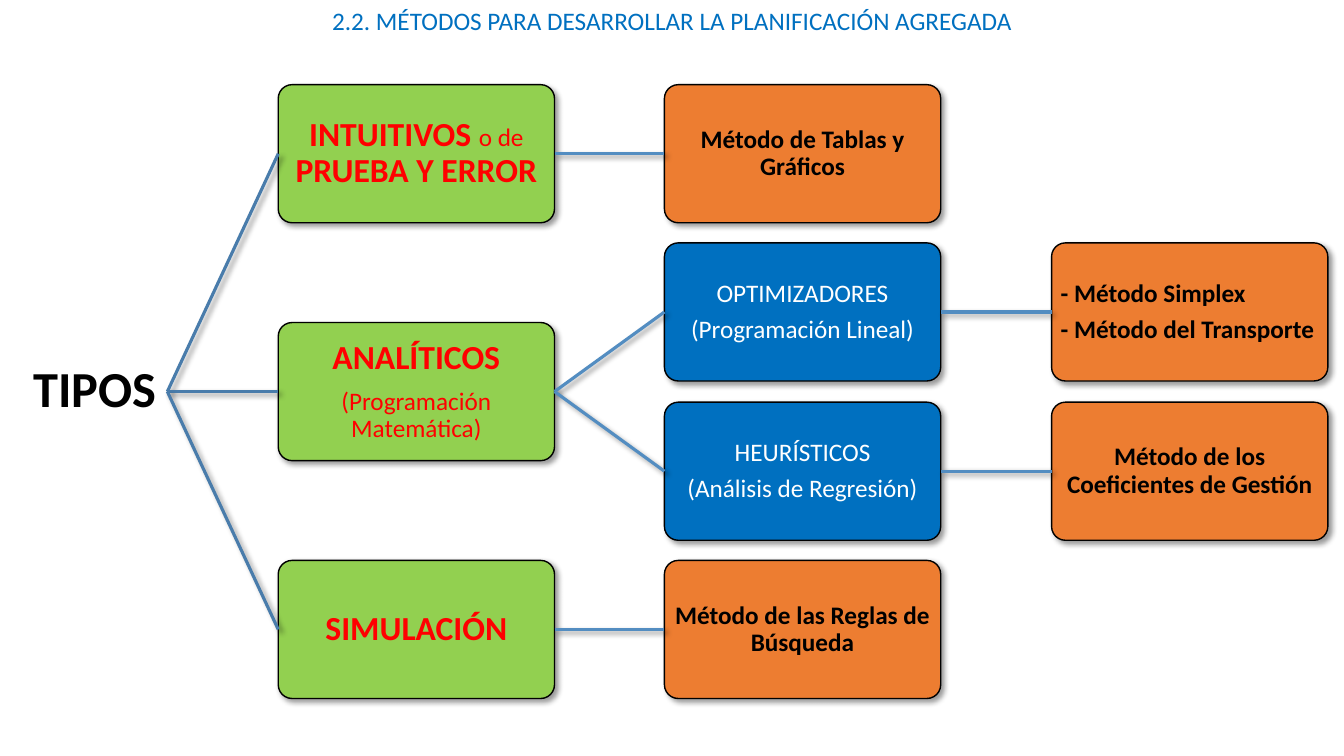
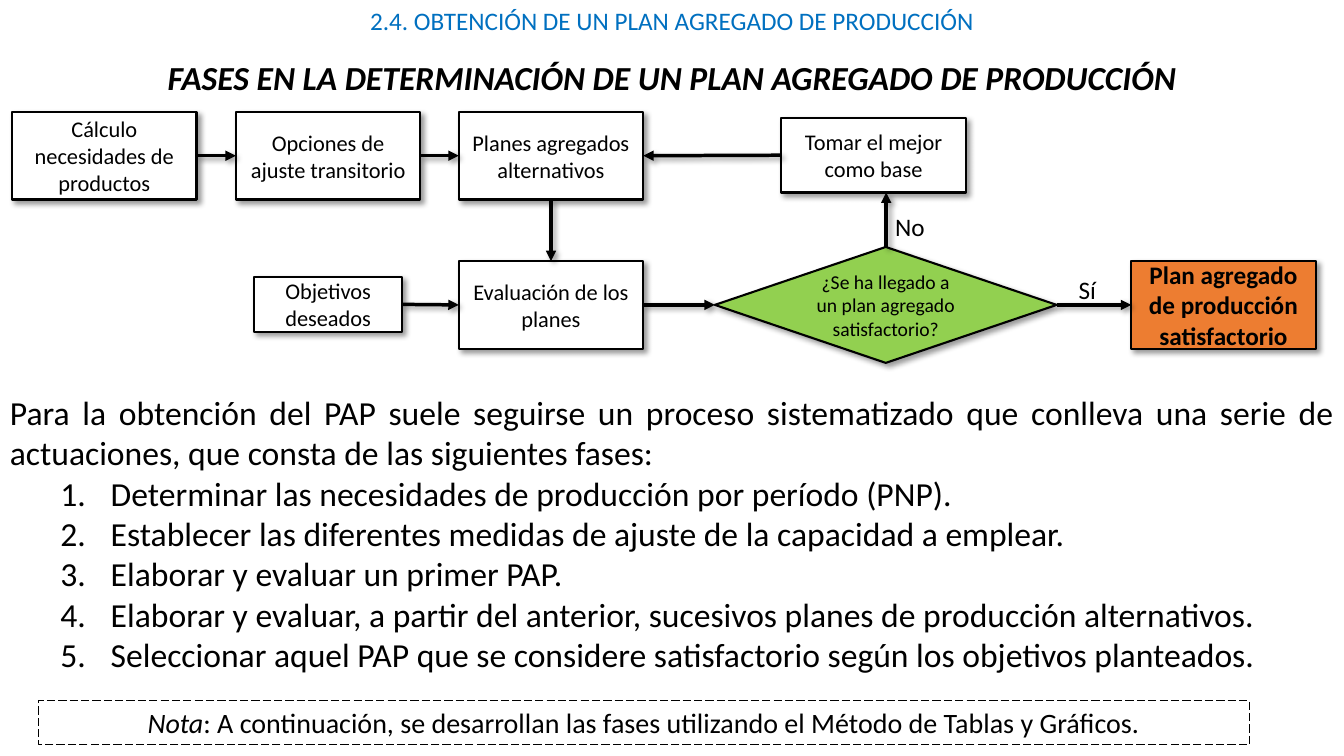
from dataclasses import dataclass

from lxml.etree import SubElement
from pptx import Presentation
from pptx.dml.color import RGBColor
from pptx.enum.dml import MSO_LINE
from pptx.enum.shapes import MSO_CONNECTOR, MSO_SHAPE as Preset
from pptx.enum.text import MSO_ANCHOR, MSO_AUTO_SIZE, PP_ALIGN as Align
from pptx.oxml.ns import qn
from pptx.util import Emu, Pt

PX = 9144  # 100 px to the inch
TOP, LEFT, BOTTOM, RIGHT = range(4)  # connection sites


@dataclass(frozen=True)
class Theme:
    font: str = "Calibri"
    black: str = "000000"
    white: str = "FFFFFF"
    red: str = "FF0000"
    green: str = "92D050"
    orange: str = "ED7D31"
    blue: str = "0070C0"
    root_line: str = "497CAB"
    branch_line: str = "538DC1"
    root: int = 36
    head: int = 24
    note: int = 20
    body: int = 18
    step: int = 16
    question: int = 14


THEME = Theme()


@dataclass(frozen=True)
class Style:
    size: int = THEME.body
    color: str = THEME.black
    bold: bool = False
    italic: bool = False


BODY = Style()
BODY_BOLD = Style(bold=True)
TITLE = Style(color=THEME.blue)
SUBTITLE = Style(THEME.head, bold=True, italic=True)
ROOT = Style(THEME.root, bold=True)
TYPE = Style(THEME.head, THEME.red, bold=True)
TYPE_DETAIL = Style(color=THEME.red)
FAMILY = Style(color=THEME.white)
STEP = Style(THEME.step)
QUESTION = Style(THEME.question)
TEXT = Style(THEME.head)
NOTE = Style(THEME.note)
NOTE_LEAD = Style(THEME.note, italic=True)


def px(*lengths):
    return [Emu(length * PX) for length in lengths]


def rgb(color):
    return RGBColor.from_string(color)


# Text: a list of paragraphs, each a list of (wording, style)
def write(shape, paragraphs, align=Align.CENTER, anchor=MSO_ANCHOR.MIDDLE):
    frame = shape.text_frame
    frame.word_wrap = True
    frame.vertical_anchor = anchor
    for index, spans in enumerate(paragraphs):
        para = frame.paragraphs[0] if index == 0 else frame.add_paragraph()
        para.alignment = align
        for wording, style in spans:
            span = para.add_run()
            span.text = wording
            font = span.font
            font.name, font.size = THEME.font, Pt(style.size)
            font.bold, font.italic = style.bold, style.italic
            font.color.rgb = rgb(style.color)
    return frame


def add_text(page, at, paragraphs, align=Align.LEFT, anchor=MSO_ANCHOR.TOP):
    box = page.shapes.add_textbox(*px(*at))
    write(box, paragraphs, align, anchor)
    return box


def tighten(frame):
    frame.margin_left, frame.margin_top, frame.margin_right, frame.margin_bottom = px(5, 5, 5, 5)
    for para in frame.paragraphs:
        para.line_spacing = 0.9
        para.space_after = Pt(0.35 * para.runs[0].font.size.pt)


def number(para):
    properties = para._p.get_or_add_pPr()
    indent, hanging = px(100, -50)
    properties.set("marL", str(indent))
    properties.set("indent", str(hanging))
    para.level = 1
    SubElement(properties, qn("a:buFont"), typeface="+mj-lt")
    SubElement(properties, qn("a:buAutoNum"), type="arabicPeriod")


# Shapes and lines
def cast_shadow(effects):
    shadow = SubElement(effects, qn("a:outerShdw"), blurRad="50800", dist="38100",
                        dir="2700000", algn="tl", rotWithShape="0")
    color = SubElement(shadow, qn("a:srgbClr"), val=THEME.black)
    SubElement(color, qn("a:alpha"), val="40000")


def add_box(page, preset, at, paragraphs, fill=None, line=1.5, align=Align.CENTER):
    box = page.shapes.add_shape(preset, *px(*at))
    box.shadow.inherit = False
    box.line.color.rgb = rgb(THEME.black)
    box.line.width = Pt(line)
    if fill:
        box.fill.solid()
        box.fill.fore_color.rgb = rgb(fill)
        cast_shadow(box._element.spPr.find(qn("a:effectLst")))
    else:
        box.fill.background()
    write(box, paragraphs, align)
    return box


def add_line(page, ends, color, width, arrow=False):
    line = page.shapes.add_connector(MSO_CONNECTOR.STRAIGHT, *px(*ends))
    line.line.color.rgb = rgb(color)
    line.line.width = Pt(width)
    if arrow:
        SubElement(line.line._get_or_add_ln(), qn("a:tailEnd"), type="triangle")
    cast_shadow(SubElement(line._element.spPr, qn("a:effectLst")))
    return line


def link(page, start, end, color, width, arrow=False, sites=(RIGHT, LEFT)):
    line = add_line(page, (0, 0, 0, 0), color, width, arrow)
    line.begin_connect(start, sites[0])
    line.end_connect(end, sites[1])


def add_page(deck, title):
    page = deck.slides.add_slide(deck.slide_layouts[6])
    add_text(page, (0, 0, 1333, 40), [[(title, TITLE)]], Align.CENTER)
    return page


# Slide 1: tree of method types
def build_methods(deck):
    page = add_page(deck, "2.2. MÉTODOS PARA DESARROLLAR LA PLANIFICACIÓN AGREGADA")

    def node(column, row, fill, paragraphs, align=Align.CENTER):
        at = (int(276 + 383.5 * column), int(84 + 157.5 * row), 274, 137)
        box = add_box(page, Preset.ROUNDED_RECTANGLE, at, paragraphs, fill, 1, align)
        box.adjustments[0] = 0.1
        tighten(box.text_frame)
        return box

    def method(column, row, *lines, align=Align.CENTER):
        return node(column, row, THEME.orange, [[(line, BODY_BOLD)] for line in lines], align)

    def family(row, *lines):
        return node(1, row, THEME.blue, [[(line, FAMILY)] for line in lines])

    root = add_text(page, (22, 320, 144, 137), [[("TIPOS", ROOT)]],
                    Align.CENTER, MSO_ANCHOR.MIDDLE)
    tighten(root.text_frame)
    intuitive = node(0, 0, THEME.green, [
        [("INTUITIVOS ", TYPE), ("o de ", TYPE_DETAIL), ("PRUEBA Y ERROR", TYPE)]])
    analytic = node(0, 1.5, THEME.green, [
        [("ANALÍTICOS", TYPE)], [("(Programación Matemática)", TYPE_DETAIL)]])
    simulation = node(0, 3, THEME.green, [[("SIMULACIÓN", TYPE)]])
    optimizers = family(1, "OPTIMIZADORES", "(Programación Lineal)")
    heuristics = family(2, "HEURÍSTICOS", "(Análisis de Regresión)")
    tables = method(1, 0, "Método de Tablas y Gráficos")
    rules = method(1, 3, "Método de las Reglas de Búsqueda")
    simplex = method(2, 1, "- Método Simplex", "- Método del Transporte", align=Align.LEFT)
    coefficients = method(2, 2, "Método de los Coeficientes de Gestión")

    for child in (intuitive, analytic, simulation):
        link(page, root, child, THEME.root_line, 2.25)
    for parent, child in ((intuitive, tables), (analytic, optimizers), (analytic, heuristics),
                          (simulation, rules), (optimizers, simplex),
                          (heuristics, coefficients)):
        link(page, parent, child, THEME.branch_line, 2.25)


# Slide 2: flowchart, numbered phases and note
def build_phases(deck):
    page = add_page(deck, "2.4. OBTENCIÓN DE UN PLAN AGREGADO DE PRODUCCIÓN")
    add_text(page, (41, 52, 1251, 50),
             [[("FASES EN LA DETERMINACIÓN DE UN PLAN AGREGADO DE PRODUCCIÓN", SUBTITLE)]],
             Align.CENTER)
    build_flow(page)

    phases = (
        "Determinar las necesidades de producción por período (PNP).",
        "Establecer las diferentes medidas de ajuste de la capacidad a emplear.",
        "Elaborar y evaluar un primer PAP.",
        "Elaborar y evaluar, a partir del anterior, sucesivos planes de producción alternativos.",
        "Seleccionar aquel PAP que se considere satisfactorio según los objetivos planteados.",
    )
    intro = ("Para la obtención del PAP suele seguirse un proceso sistematizado que conlleva "
             "una serie de actuaciones, que consta de las siguientes fases:")
    body = add_text(page, (0, 384, 1333, 293),
                    [[(line, TEXT)] for line in (intro, *phases)], Align.JUSTIFY)
    for para in body.text_frame.paragraphs[1:]:
        number(para)

    note = add_box(page, Preset.RECTANGLE, (38, 695, 1201, 44), [
        [("Nota", NOTE_LEAD),
         (": A continuación, se desarrollan las fases utilizando el Método de Tablas y Gráficos.",
          NOTE)]], line=0.75)
    note.line.dash_style = MSO_LINE.LONG_DASH
    note.text_frame.auto_size = MSO_AUTO_SIZE.SHAPE_TO_FIT_TEXT


def build_flow(page):
    upper, lower = 154, 302  # centre lines of the two rows

    def step(left, middle, wording, width=183, height=87, fill=THEME.white,
             style=STEP, preset=Preset.RECTANGLE):
        at = (left, middle - height // 2, width, height)
        return add_box(page, preset, at, [[(wording, style)]], fill)

    needs = step(12, upper, "Cálculo necesidades de productos")
    options = step(234, upper, "Opciones de ajuste transitorio")
    plans = step(455, upper, "Planes agregados alternativos")
    best = step(775, upper, "Tomar el mejor como base", height=74)
    goals = step(252, lower, "Objetivos deseados", 147, 54)
    evaluation = step(455, lower, "Evaluación de los planes")
    decision = step(709, lower, "¿Se ha llegado a un plan agregado satisfactorio?", 339, 115,
                    THEME.green, QUESTION, Preset.FLOWCHART_DECISION)
    result = step(1122, lower, "Plan agregado de producción satisfactorio",
                  fill=THEME.orange, style=BODY_BOLD)

    across, back, down = (RIGHT, LEFT), (LEFT, RIGHT), (BOTTOM, TOP)
    for start, end, sites in ((needs, options, across), (options, plans, across),
                              (best, plans, back), (plans, evaluation, down),
                              (goals, evaluation, across), (evaluation, decision, across),
                              (decision, result, across)):
        link(page, start, end, THEME.black, 2.5, True, sites)
    add_line(page, (879, 245, 879, 191), THEME.black, 2.5, True)

    add_text(page, (1060, 267, 50, 40), [[("Sí", BODY)]])
    add_text(page, (878, 205, 50, 40), [[("No", BODY)]])


def main():
    deck = Presentation()
    deck.slide_width, deck.slide_height = px(1333, 750)
    build_methods(deck)
    build_phases(deck)
    deck.save("out.pptx")


if __name__ == "__main__":
    main()
